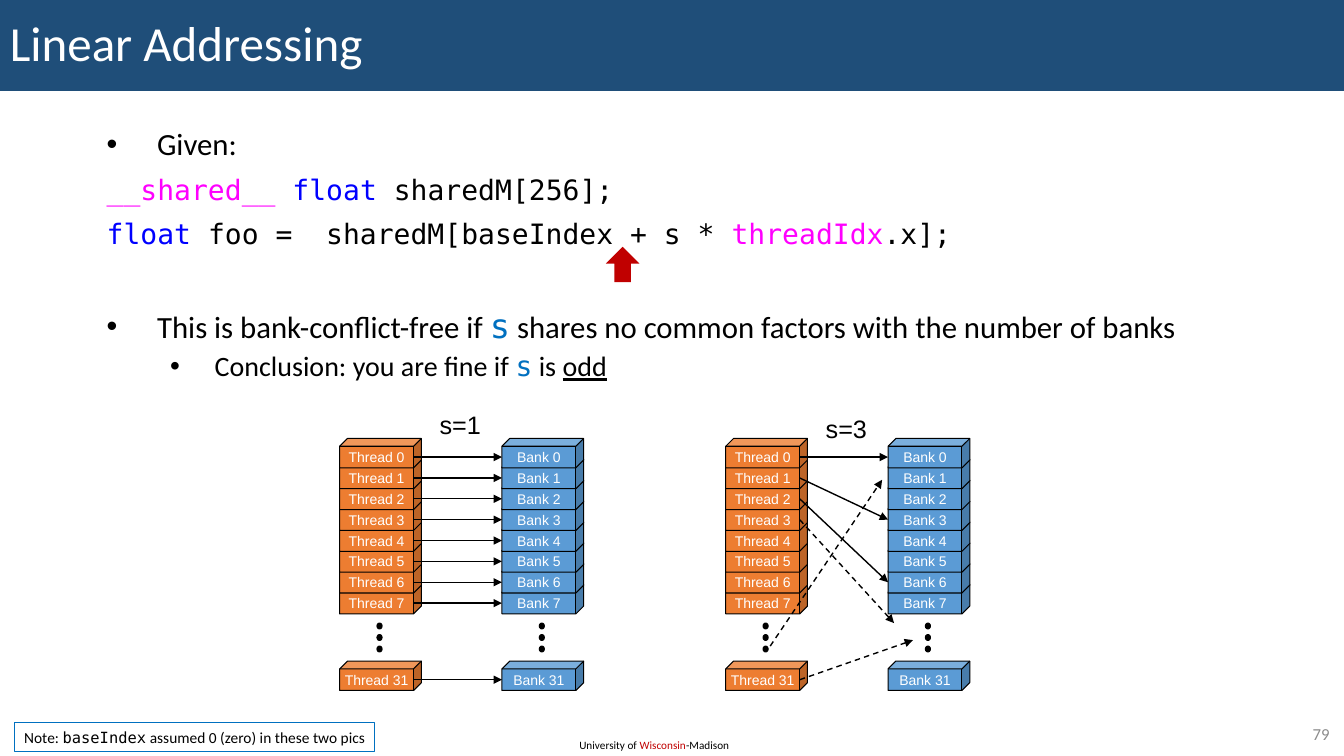
"""Build the slide on linear addressing of shared memory banks."""
from dataclasses import dataclass

from lxml import etree
from pptx import Presentation
from pptx import util as u
from pptx.dml.color import RGBColor
from pptx.enum import dml, shapes, text
from pptx.oxml.ns import qn


@dataclass(frozen=True)
class Theme:
    """Colours, fonts and type sizes of the slide."""
    navy: str = "1F4E79"
    black: str = "000000"
    white: str = "FFFFFF"
    grey: str = "8C8C8C"
    red: str = "C00000"
    magenta: str = "FF00FF"
    keyword: str = "0000FF"
    accent: str = "0070C0"
    thread: str = "ED7D31"
    bank: str = "5B9BD5"
    body: str = "Calibri"
    code: str = "DejaVu Sans Mono"
    label: str = "Arial"
    title_size: int = 35
    symbol_size: int = 24
    body_size: int = 22
    code_size: int = 20
    caption_size: int = 18
    number_size: int = 12
    note_size: int = 11
    cube_size: int = 10
    footer_size: int = 8


THEME = Theme()
CUBE_WIDTH, CUBE_HEIGHT, CUBE_DEPTH = 2.06, 0.74, 0.266
FACE_WIDTH = CUBE_WIDTH - CUBE_HEIGHT * CUBE_DEPTH
STACK_TOP, ROW_PITCH, LAST_TOP = 11.05, 3.68 / 7, 16.66
BANK_OFFSET = 4.09
ROWS = range(8)
LAST_ROW = 31


def frame(left, top, width, height):
    """Return a frame given in centimetres as lengths."""
    return [u.Cm(value) for value in (left, top, width, height)]


def add_spans(para, spans):
    """Fill a paragraph with spans of (wording, size, font, colour)."""
    for wording, size, font, colour in spans:
        span = para.add_run()
        span.text = wording
        span.font.size = u.Pt(size)
        span.font.name = font
        span.font.color.rgb = RGBColor.from_string(colour)


def set_bullet(para, margin, hanging):
    """Give a paragraph a round bullet with a hanging indent."""
    properties = para._p.get_or_add_pPr()
    properties.set("marL", str(u.Cm(margin)))
    properties.set("indent", str(-u.Cm(hanging)))
    etree.SubElement(properties, qn("a:buFont"), typeface=THEME.label)
    etree.SubElement(properties, qn("a:buChar"), char="•")


def add_text(parent, place, spans, wrap=False, align=text.PP_ALIGN.LEFT,
             anchor=text.MSO_ANCHOR.TOP):
    """Add a text box with one paragraph."""
    box = parent.add_textbox(*frame(*place))
    box.text_frame.word_wrap = wrap
    box.text_frame.vertical_anchor = anchor
    para = box.text_frame.paragraphs[0]
    para.alignment = align
    add_spans(para, spans)
    return box


def add_figure(parent, kind, place, fill=None, line=None):
    """Add a preset shape with an optional fill and outline."""
    figure = parent.add_shape(kind, *frame(*place))
    figure.shadow.inherit = False
    if fill:
        figure.fill.solid()
        figure.fill.fore_color.rgb = RGBColor.from_string(fill)
    else:
        figure.fill.background()
    if line:
        figure.line.color.rgb = RGBColor.from_string(line)
        figure.line.width = u.Pt(0.75)
    else:
        figure.line.fill.background()
    return figure


def set_label(figure, spans, align, wrap=False):
    """Write one vertically centred paragraph into a shape."""
    figure.text_frame.word_wrap = wrap
    figure.text_frame.vertical_anchor = text.MSO_ANCHOR.MIDDLE
    para = figure.text_frame.paragraphs[0]
    para.alignment = align
    add_spans(para, spans)
    return para


def add_arrow(parent, start, end, dashed=False):
    """Add a straight arrow between two points in centimetres."""
    arrow = parent.add_connector(shapes.MSO_CONNECTOR.STRAIGHT, *frame(*start, *end))
    arrow.line.color.rgb = RGBColor.from_string(THEME.black)
    arrow.line.width = u.Pt(1)
    if dashed:
        arrow.line.dash_style = dml.MSO_LINE.DASH
    etree.SubElement(arrow.line._get_or_add_ln(), qn("a:tailEnd"), type="triangle")
    etree.SubElement(arrow._element.spPr, qn("a:effectLst"))


def row_top(row):
    """Return the top of a cube row."""
    return LAST_TOP if row == LAST_ROW else STACK_TOP + row * ROW_PITCH


def row_middle(row):
    """Return the middle of the front face in a cube row."""
    return row_top(row) + CUBE_HEIGHT * (1 + CUBE_DEPTH) / 2


def add_stack(parent, left, name, colour):
    """Add a stack of numbered cubes with an ellipsis of dots."""
    for row in (LAST_ROW, *reversed(ROWS)):
        place = (left, row_top(row), CUBE_WIDTH, CUBE_HEIGHT)
        cube = add_figure(parent, shapes.MSO_SHAPE.CUBE, place, colour, THEME.black)
        cube.adjustments[0] = CUBE_DEPTH
        set_label(cube, [(f"{name} {row}", THEME.cube_size, THEME.label, THEME.white)],
                  text.PP_ALIGN.CENTER)
    for dot in range(3):
        place = (left + 0.94, 15.7 + dot * 0.29, 0.13, 0.15)
        add_figure(parent, shapes.MSO_SHAPE.OVAL, place, THEME.black, THEME.black)


def add_mapping(slide, left, caption, caption_top, links, dashed_links=()):
    """Add a group that maps threads to banks for one stride."""
    group = slide.shapes.add_group_shape().shapes
    add_stack(group, left + BANK_OFFSET, "Bank", THEME.bank)
    add_stack(group, left, "Thread", THEME.thread)
    for thread, bank in links:
        add_arrow(group, (left + FACE_WIDTH, row_middle(thread)),
                  (left + BANK_OFFSET, row_middle(bank)))
    for (start_x, start_y), (end_x, end_y) in dashed_links:
        add_arrow(group, (left + start_x, start_y), (left + end_x, end_y), dashed=True)
    add_text(group, (left + 2.27, caption_top, 1.55, 1.02),
             [(caption, THEME.caption_size, THEME.label, THEME.black)])


def add_body(slide):
    """Add the code lines and the bulleted statements."""
    t = THEME
    magenta, keyword, plain = ((t.code_size, t.code, colour)
                               for colour in (t.magenta, t.keyword, t.black))
    body = (t.body_size, t.body, t.black)
    detail = (t.code_size, t.body, t.black)
    paragraphs = [
        (0, (1.27, 1.27), [("Given:", *body)]),
        (10, None, [("__shared__ ", *magenta), ("float ", *keyword),
                    ("sharedM[256];", *plain)]),
        (10, None, [("float", *keyword), (" foo =  sharedM[baseIndex + s * ", *plain),
                    ("threadIdx", *magenta), (".x];", *plain)]),
        (42, (1.27, 1.27), [("This is bank-conflict-free if ", *body),
                            ("s", t.symbol_size, t.code, t.accent),
                            (" shares no common factors with the number of banks", *body)]),
        (5, (2.72, 1.12), [("Conclusion: you are fine if ", *detail),
                           ("s", t.code_size, t.code, t.accent),
                           (" is ", *detail), ("odd", *detail)]),
    ]
    box = slide.shapes.add_textbox(*frame(2.44, 3.12, 30.23, 7.62))
    box.text_frame.word_wrap = True
    for index, (gap, bullet, spans) in enumerate(paragraphs):
        para = box.text_frame.add_paragraph() if index else box.text_frame.paragraphs[0]
        para.line_spacing = 0.9
        para.space_before = u.Pt(gap)
        if bullet:
            set_bullet(para, *bullet)
        add_spans(para, spans)
    para.level = 1
    para.runs[-1].font.underline = True


def main():
    """Build the slide and save the deck."""
    t = THEME
    deck = Presentation()
    deck.slide_width, deck.slide_height = u.Cm(33.87), u.Cm(19.05)
    slide = deck.slides.add_slide(deck.slide_layouts[6])
    footer = (t.footer_size, t.body)
    add_text(slide.shapes, (14.35, 18.49, 4.37, 0.61),
             [("University of ", *footer, t.black), ("Wisconsin", *footer, t.red),
              ("-Madison", *footer, t.black)])
    banner = add_figure(slide.shapes, shapes.MSO_SHAPE.RECTANGLE, (0, 0, 33.87, 2.29), t.navy)
    heading = set_label(banner, [("Linear Addressing", t.title_size, t.body, t.white)],
                        text.PP_ALIGN.LEFT, wrap=True)
    heading.line_spacing = 0.9
    add_body(slide)
    dashed_links = [((FACE_WIDTH, row_middle(3)), (4.24, 15.7)),
                    ((1.12, 16.28), (3.94, 12.09)),
                    ((FACE_WIDTH, row_middle(LAST_ROW)), (4.72, 16.13))]
    add_mapping(slide, 18.29, "s=3", 10.29, [(row, 3 * row) for row in range(3)], dashed_links)
    add_mapping(slide, 8.56, "s=1", 10.19, [(row, row) for row in (*ROWS, LAST_ROW)])
    add_text(slide.shapes, (31.83, 18.11, 1.93, 0.74),
             [("79", t.number_size, t.body, t.grey)], wrap=True,
             align=text.PP_ALIGN.RIGHT, anchor=text.MSO_ANCHOR.MIDDLE)
    pointer = add_figure(slide.shapes, shapes.MSO_SHAPE.DOWN_ARROW,
                         (15.27, 6.22, 0.84, 0.89), t.red)
    pointer.rotation = 180
    note = add_figure(slide.shapes, shapes.MSO_SHAPE.RECTANGLE,
                      (0.36, 18.21, 9.09, 0.74), line=t.accent)
    set_label(note, [("Note: ", t.note_size, t.body, t.black),
                     ("baseIndex", t.note_size, t.code, t.black),
                     (" assumed 0 (zero) in these two pics", t.note_size, t.body, t.black)],
              text.PP_ALIGN.LEFT)
    deck.save("out.pptx")


if __name__ == "__main__":
    main()
